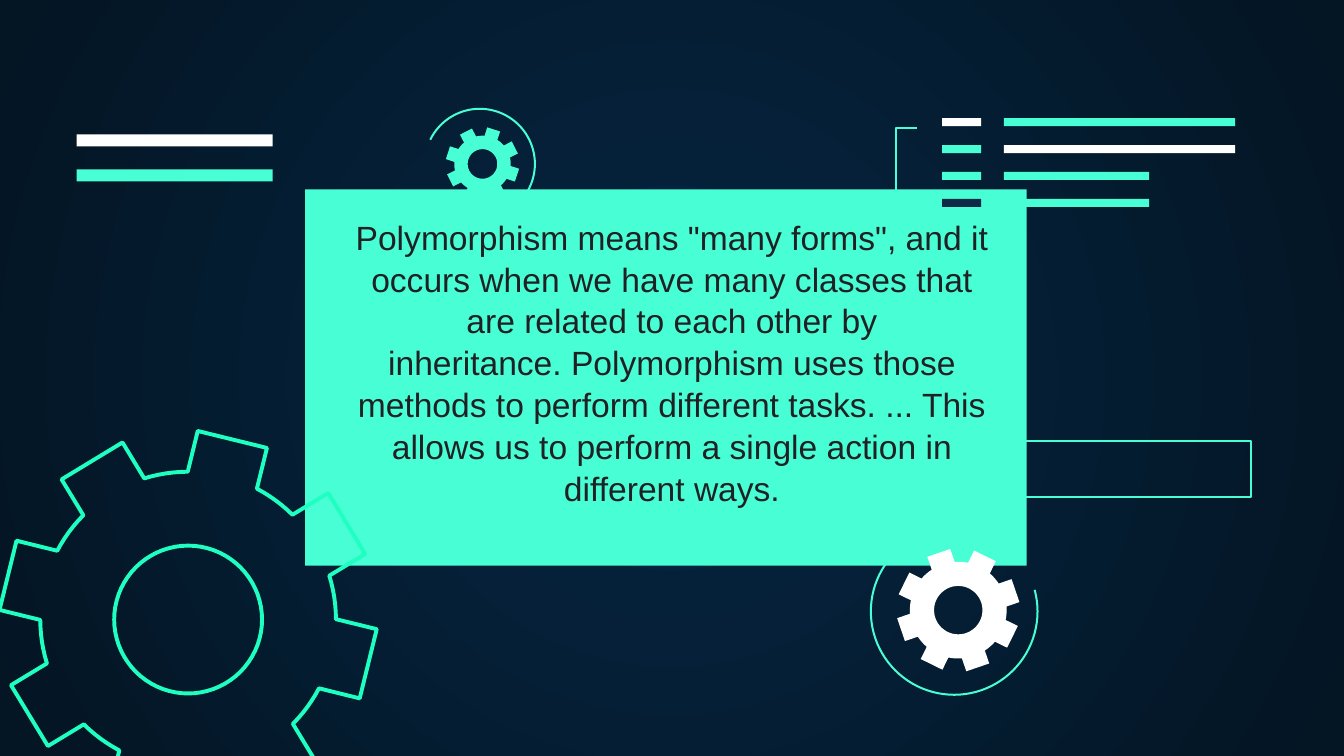
from math import asin, cos, hypot, atan2, pi, radians, sin

from lxml import etree
from pptx import Presentation
from pptx import util as u
from pptx.dml.color import RGBColor
from pptx.enum import shapes, text
from pptx.oxml import ns

MINT = RGBColor(0x48, 0xFF, 0xD5)
BRIGHT_MINT = RGBColor(0x1E, 0xFF, 0xC1)
WHITE = RGBColor(0xFF, 0xFF, 0xFF)
NAVY = RGBColor(0x0E, 0x2A, 0x47)
CHARCOAL = RGBColor(0x20, 0x21, 0x24)
GLOW = RGBColor(0x05, 0x26, 0x43)
NIGHT = RGBColor(0x04, 0x15, 0x23)

NBSP = chr(160)
DEFINITION = (
    f'Polymorphism{NBSP}means "many forms", and it occurs when we have many '
    f"classes that are related to each other by inheritance.{NBSP}Polymorphism"
    f"{NBSP}uses those methods to perform different tasks. ... This allows us "
    "to perform a single action in different ways."
)
TEXT_FORMAT = {"name": "Arial", "size": u.Pt(18)}
FRAME_FORMAT = {"word_wrap": True, "vertical_anchor": text.MSO_ANCHOR.TOP}
FRAME_FORMAT.update({f"margin_{side}": u.Inches(0.1)
                     for side in ("left", "top", "right", "bottom")})

WIDTH, HEIGHT = 10, 5.625
THIN, THICK = 1.09, 2.1
TEETH, ROOT_STEPS = 8, 6

PANEL = (2.27, 1.41, 5.37, 2.8)
TEXT_BOX = (2.53, 1.5, 4.94, 2.33)
SIDE_FRAME = (7.2, 3.28, 2.11, 0.42)
BRACKET = [(6.83, 1.56), (6.67, 1.56), (6.67, 0.95), (6.82, 0.95)]

ARCS = [
    {"center": (3.57, 1.22), "radius": 0.41, "start": 206, "end": 94},
    {"center": (7.1, 4.55), "radius": 0.62, "start": 345, "end": 233},
]
GEARS = [
    {"center": (1.4, 4.61), "tip": 1.38, "root": 1.1, "hub": 0.55,
     "tooth": 0.53, "turn": 13.8, "line": BRIGHT_MINT, "weight": THICK},
    {"center": (7.13, 4.54), "tip": 0.45, "root": 0.36, "hub": 0.18,
     "tooth": 0.18, "turn": 26.2, "fill": WHITE},
    {"center": (3.59, 1.22), "tip": 0.27, "root": 0.21, "hub": 0.11,
     "tooth": 0.1, "turn": 18, "fill": MINT},
]
LIST_LEFT, LIST_TOP, LIST_PITCH, LIST_BAR = (7.01, 7.47), 0.88, 0.2, 0.06
LIST_ROWS = [
    ((0.29, WHITE), (1.72, MINT)),
    ((0.29, MINT), (1.72, WHITE)),
    ((0.29, MINT), (1.08, MINT)),
    ((0.29, NAVY), (1.08, MINT)),
]
STRIPES = [WHITE, MINT]
STRIPE_LEFT, STRIPE_TOP, STRIPE_PITCH, STRIPE_SIZE = 0.57, 1, 0.26, (1.46, 0.09)


def inches(values):
    return [u.Inches(value) for value in values]


def paint(shape, fill=None, line=None, weight=THIN):
    shape.shadow.inherit = False
    if fill is None:
        shape.fill.background()
    else:
        shape.fill.solid()
        shape.fill.fore_color.rgb = fill
    if line is None:
        shape.line.fill.background()
    else:
        shape.line.color.rgb = line
        shape.line.width = u.Pt(weight)
    return shape


def add_rectangle(slide, box, **look):
    shape = slide.shapes.add_shape(shapes.MSO_SHAPE.RECTANGLE, *inches(box))
    return paint(shape, **look)


def add_arc(slide, center, radius, start, end):
    left, top = (middle - radius for middle in center)
    box = inches((left, top, 2 * radius, 2 * radius))
    shape = slide.shapes.add_shape(shapes.MSO_SHAPE.ARC, *box)
    for index, degrees in enumerate((start, end)):
        shape.adjustments[index] = degrees * 0.6
    paint(shape, line=MINT)


def add_outline(slide, contours, closed=True, **look):
    builder = None
    for contour in contours:
        first, *rest = [inches(point) for point in contour]
        if builder is None:
            builder = slide.shapes.build_freeform(*first)
        else:
            builder.move_to(*first)
        builder.add_line_segments(rest, close=closed)
    return paint(builder.convert_to_shape(), **look)


def add_gear(slide, center, tip, root, hub, tooth, turn, **look):
    def place(radius, angle):
        return center[0] + radius * cos(angle), center[1] + radius * sin(angle)

    pitch = 2 * pi / TEETH
    tip_radius, tip_angle = hypot(tip, tooth / 2), atan2(tooth / 2, tip)
    root_angle = asin(tooth / 2 / root)
    gap = pitch - 2 * root_angle
    rim = []
    for index in range(TEETH):
        middle = radians(turn) + index * pitch
        rim += [place(tip_radius, middle - tip_angle),
                place(tip_radius, middle + tip_angle)]
        rim += [place(root, middle + root_angle + gap * step / ROOT_STEPS)
                for step in range(ROOT_STEPS + 1)]
    hole = [place(hub, -radians(degrees)) for degrees in range(0, 360, 5)]
    add_outline(slide, [rim, hole], **look)


def set_background(slide):
    fill = slide.background.fill
    fill.gradient()
    for stop, color in zip(fill.gradient_stops, (GLOW, NIGHT)):
        stop.color.rgb = color
    linear = slide.element.find(".//" + ns.qn("a:lin"))
    radial = etree.Element(ns.qn("a:path"), {"path": "circle"})
    etree.SubElement(radial, ns.qn("a:fillToRect"),
                     {side: "50000" for side in "ltrb"})
    linear.getparent().replace(linear, radial)


def add_definition(slide):
    frame = slide.shapes.add_textbox(*inches(TEXT_BOX)).text_frame
    for name, value in FRAME_FORMAT.items():
        setattr(frame, name, value)
    paragraph = frame.paragraphs[0]
    paragraph.alignment = text.PP_ALIGN.CENTER
    paragraph.line_spacing = 1.04
    run = paragraph.add_run()
    run.text = DEFINITION
    for name, value in TEXT_FORMAT.items():
        setattr(run.font, name, value)
    run.font.color.rgb = CHARCOAL


def main():
    presentation = Presentation()
    presentation.slide_width, presentation.slide_height = inches((WIDTH, HEIGHT))
    slide = presentation.slides.add_slide(presentation.slide_layouts[6])
    set_background(slide)
    add_rectangle(slide, PANEL, fill=MINT)
    for arc in ARCS:
        add_arc(slide, **arc)
    for gear in GEARS:
        add_gear(slide, **gear)
    for row, bars in enumerate(LIST_ROWS):
        for left, (width, color) in zip(LIST_LEFT, bars):
            top = LIST_TOP + row * LIST_PITCH
            add_rectangle(slide, (left, top, width, LIST_BAR), fill=color)
    add_outline(slide, [BRACKET], closed=False, line=MINT)
    for row, color in enumerate(STRIPES):
        top = STRIPE_TOP + row * STRIPE_PITCH
        add_rectangle(slide, (STRIPE_LEFT, top, *STRIPE_SIZE), fill=color)
    add_rectangle(slide, SIDE_FRAME, line=MINT)
    add_definition(slide)
    presentation.save("out.pptx")


if __name__ == "__main__":
    main()
